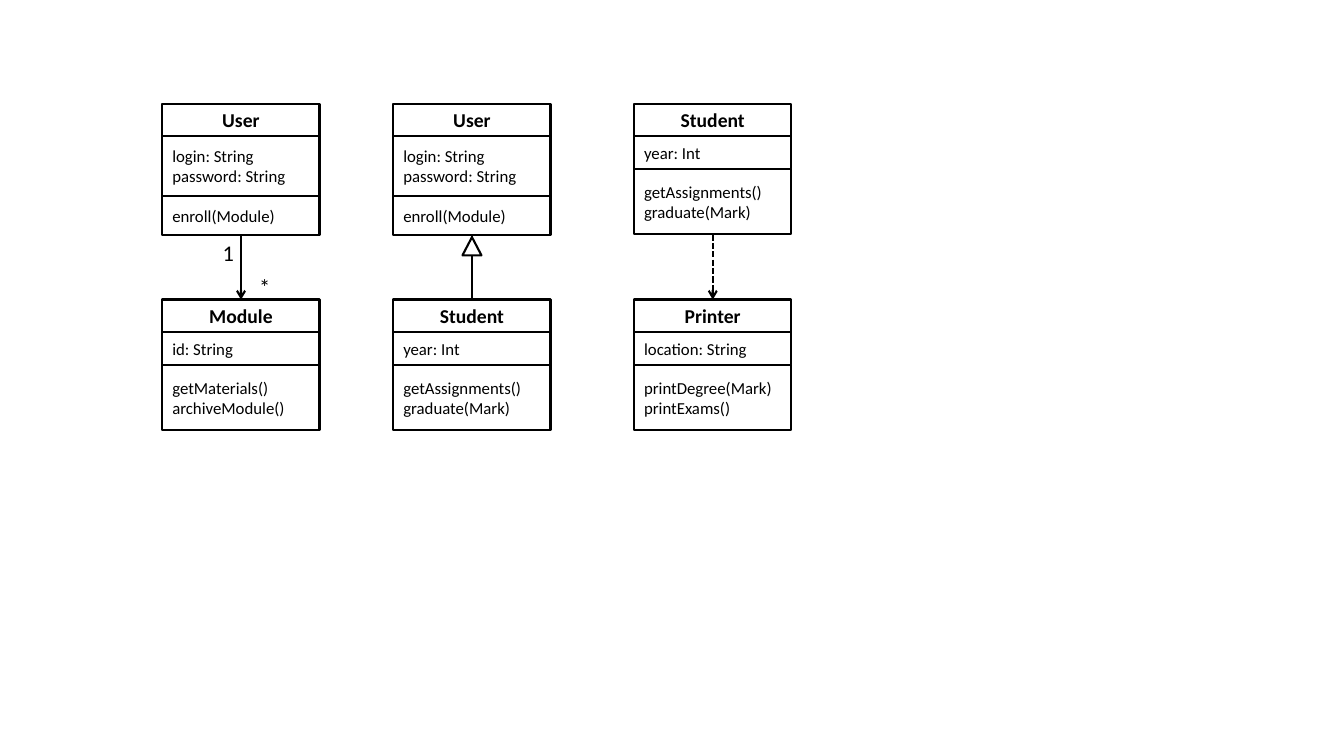
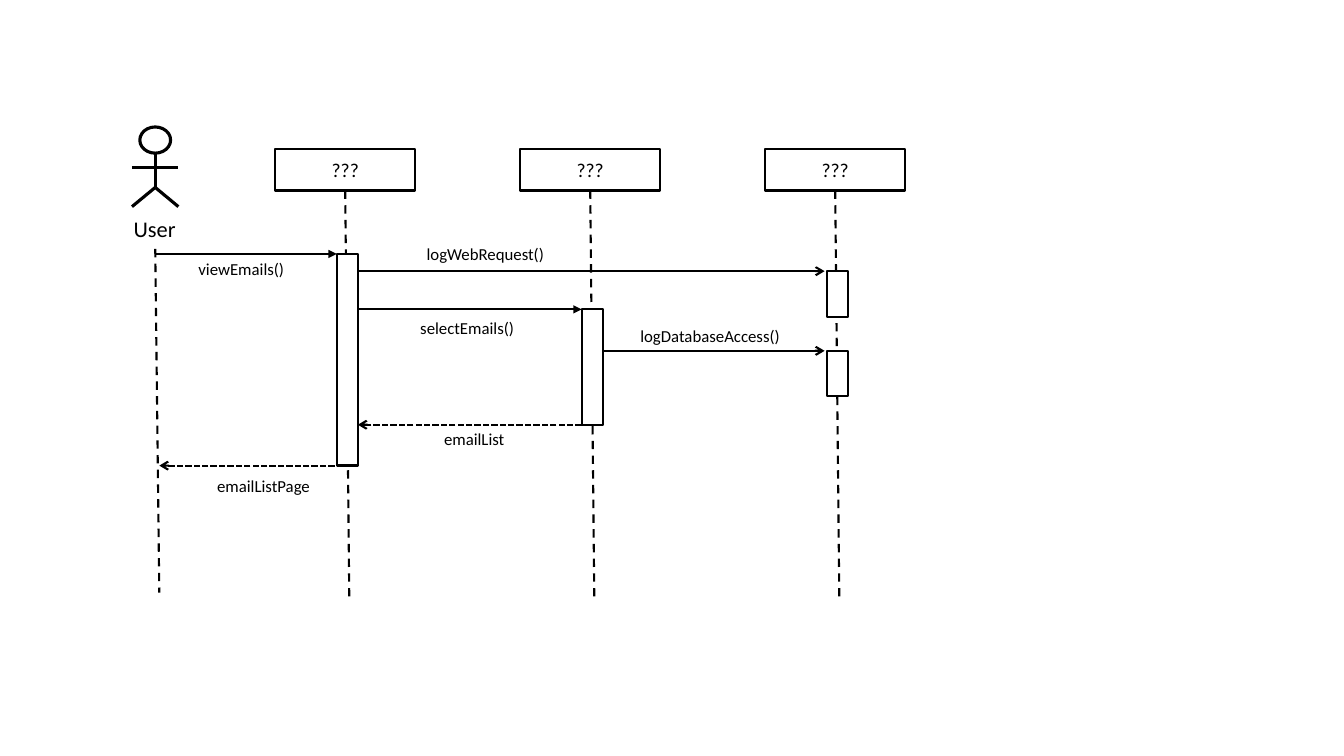
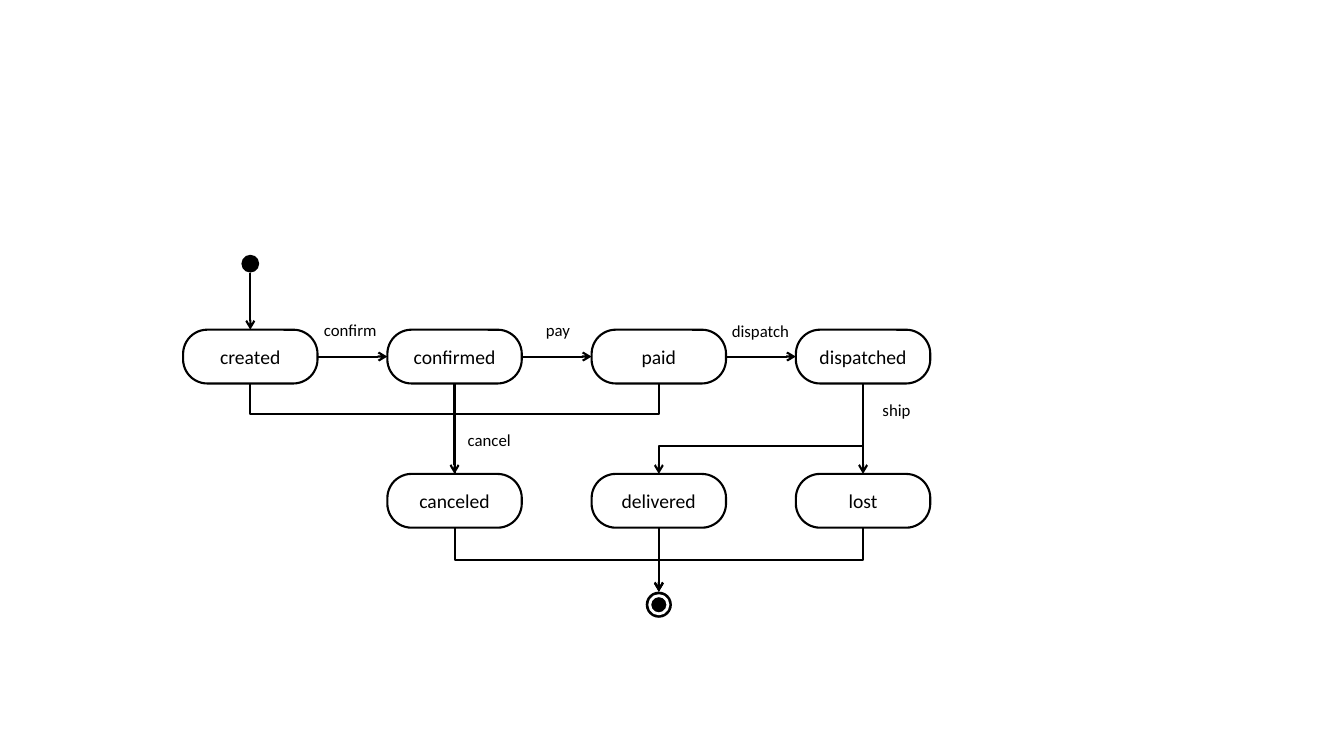
from lxml.etree import SubElement
from pptx import Presentation
from pptx.dml.color import RGBColor
from pptx.enum.dml import MSO_LINE
from pptx.enum.shapes import MSO_CONNECTOR, MSO_SHAPE
from pptx.enum.text import MSO_ANCHOR, MSO_AUTO_SIZE, PP_ALIGN
from pptx.oxml.ns import qn
from pptx.util import Pt

BLACK = RGBColor(0, 0, 0)
WHITE = RGBColor(255, 255, 255)
FONT = "Calibri"
TOP, LEFT, BOTTOM, RIGHT = range(4)

# Class diagram: name, attributes and their height, methods and their height
USER = ("User", ["login: String", "password: String"], 42.7, ["enroll(Module)"], 28)
MODULE = ("Module", ["id: String"], 23.2, ["getMaterials()\narchiveModule()"], 46.8)
STUDENT = ("Student", ["year: Int"], 23.2, ["getAssignments()\ngraduate(Mark)"], 46.8)
PRINTER = ("Printer", ["location: String"], 23.2, ["printDegree(Mark)\nprintExams()"], 46.8)
CLASS_W, NAME_H = 112.3, 23.4
CLASS_TOPS = (74, 214)
# left, upper class, lower class, arrowhead, dash
CLASS_PAIRS = [
    (116, USER, MODULE, "arrow", None),
    (281, USER, STUDENT, None, None),
    (453, STUDENT, PRINTER, "arrow", MSO_LINE.SQUARE_DOT),
]
MULTIPLICITIES = [("1", 152, 167), ("*", 178, 191.5)]

# Sequence diagram
OBJECTS = ["???", "???", "???"]
OBJECT_X, OBJECT_STEP, OBJECT_Y, OBJECT_W, OBJECT_H = 196.6, 175, 106.6, 100, 29.5
LIFE_END, LIFE_DRIFT = 426.2, 2.9
BAR_X, BAR_W = 240.5, 15.1
ACTIVATIONS = [(0, 181.4, 151.2), (1, 221, 82.6), (2, 193.7, 32.5), (2, 250.6, 32.5)]
ACTOR_X = 110.9
ACTOR_LIMBS = [
    ((110.9, 109.4), (110.9, 133.9)),
    ((94.3, 119.5), (127.4, 119.5)),
    ((110.9, 133.9), (94.3, 147.6)),
    ((110.9, 133.9), (127.4, 147.6)),
]
# from x, to x, y, arrowhead, dash, label, label left, label top, label width
MESSAGES = [
    (110.9, 240.5, 181.4, "triangle", None, "viewEmails()", 123.1, 181.4, 98.6),
    (255.6, 589, 193.7, "arrow", None, "logWebRequest()", 297.4, 170.6, 98.6),
    (255.6, 415.5, 221, "triangle", None, "selectEmails()", 272.9, 223.2, 121.7),
    (430.6, 589, 250.6, "arrow", None, "logDatabaseAccess()", 446.4, 229.2, 121.7),
    (415.5, 255.6, 303.4, "arrow", MSO_LINE.SQUARE_DOT, "emailList", 277.9, 302.8, 121.7),
    (239, 113.8, 332.6, "arrow", MSO_LINE.SQUARE_DOT, "emailListPage", 127.4, 336.4, 121.7),
]

# State diagram: state -> column, row
STATES = {
    "created": (0, 0), "confirmed": (1, 0), "paid": (2, 0), "dispatched": (3, 0),
    "canceled": (1, 1), "delivered": (2, 1), "lost": (3, 1),
}
STATE_X, STATE_STEP, STATE_W, STATE_H = 130.8, 145.9, 96, 38.4
STATE_TOPS = (235.5, 338.5)
STRAIGHT_STEPS = [
    ("created", RIGHT, "confirmed", LEFT), ("confirmed", RIGHT, "paid", LEFT),
    ("paid", RIGHT, "dispatched", LEFT), ("confirmed", BOTTOM, "canceled", TOP),
    ("dispatched", BOTTOM, "lost", TOP),
]
# from, to, share of the drop at which the line turns, arrowhead
BENT_STEPS = [
    ("created", "canceled", 0.34, None), ("paid", "canceled", 0.34, None),
    ("dispatched", "delivered", 0.69, "arrow"),
    ("canceled", "end", 0.5, "arrow"), ("lost", "end", 0.5, "arrow"),
]
START_Y, START_D = 182, 12.7
END_Y, END_D, CORE_D = 422.6, 18.7, 13
EVENTS = [("confirm", 200.9, 224.8), ("pay", 349.2, 224.8), ("dispatch", 493.9, 225.2),
          ("cancel", 300.2, 303.3), ("ship", 591.1, 282)]


def write(tf, paragraphs, size, bold=False, align=PP_ALIGN.CENTER):
    tf.word_wrap = True
    for i, text in enumerate(paragraphs):
        p = tf.paragraphs[0] if i == 0 else tf.add_paragraph()
        p.alignment = align
        for j, part in enumerate(text.split("\n")):
            if j:
                p.add_line_break()
            r = p.add_run()
            r.text = part
            r.font.name, r.font.size, r.font.bold = FONT, Pt(size), bold
            r.font.color.rgb = BLACK


def add_box(shapes, x, y, w, h, paragraphs=(), size=14, kind=MSO_SHAPE.RECTANGLE,
            fill=WHITE, line=BLACK, weight=1.5, **style):
    sp = shapes.add_shape(kind, Pt(x), Pt(y), Pt(w), Pt(h))
    sp.shadow.inherit = False
    if fill is None:
        sp.fill.background()
    else:
        sp.fill.solid()
        sp.fill.fore_color.rgb = fill
    if line is None:
        sp.line.fill.background()
    else:
        sp.line.color.rgb, sp.line.width = line, Pt(weight)
    sp.text_frame.vertical_anchor = MSO_ANCHOR.MIDDLE
    write(sp.text_frame, paragraphs, size, **style)
    return sp


def add_label(shapes, text, x, y, w, h=21.8, size=12):
    tf = shapes.add_textbox(Pt(x), Pt(y), Pt(w), Pt(h)).text_frame
    write(tf, [text], size)
    tf.auto_size = MSO_AUTO_SIZE.SHAPE_TO_FIT_TEXT


def add_line(shapes, start, end, arrow=None, dash=None, weight=1.5,
             kind=MSO_CONNECTOR.STRAIGHT):
    cxn = shapes.add_connector(kind, *map(Pt, (*start, *end)))
    cxn.line.color.rgb, cxn.line.width = BLACK, Pt(weight)
    if dash:
        cxn.line.dash_style = dash
    if arrow:
        SubElement(cxn.line._get_or_add_ln(), qn("a:tailEnd"), type=arrow)
    SubElement(cxn._element.spPr, qn("a:effectLst"))
    return cxn


def join(shapes, a, a_side, b, b_side, **style):
    cxn = add_line(shapes, (0, 0), (0, 0), **style)
    cxn.begin_connect(a, a_side)
    cxn.end_connect(b, b_side)


def add_bent(shapes, a, b, turn, arrow):
    """Elbow that leaves the bottom of a and enters the top of b."""
    x1, y1 = a.left.pt + a.width.pt / 2, a.top.pt + a.height.pt
    x2, y2 = b.left.pt + b.width.pt / 2, b.top.pt
    cx, cy, half_w, half_h = (x1 + x2) / 2, (y1 + y2) / 2, (y2 - y1) / 2, abs(x2 - x1) / 2
    flip = -1 if x2 > x1 else 1
    cxn = add_line(shapes, (cx - flip * half_w, cy - half_h), (cx + flip * half_w, cy + half_h),
                   arrow, kind=MSO_CONNECTOR.ELBOW)
    spPr = cxn._element.spPr
    spPr.find(qn("a:xfrm")).set("rot", str((90 if flip == 1 else 270) * 60000))
    geom = spPr.find(qn("a:prstGeom"))
    av = geom.find(qn("a:avLst"))
    if av is None:
        av = SubElement(geom, qn("a:avLst"))
    SubElement(av, qn("a:gd"), name="adj1", fmla=f"val {round(turn * 100000)}")


def add_class(shapes, x, y, name, attributes, attributes_h, methods, methods_h):
    head = add_box(shapes, x, y, CLASS_W, NAME_H, [name], bold=True)
    y += NAME_H
    add_box(shapes, x, y, CLASS_W, attributes_h, attributes, 12, align=PP_ALIGN.LEFT)
    y += attributes_h
    foot = add_box(shapes, x, y, CLASS_W, methods_h, methods, 12, align=PP_ALIGN.LEFT)
    return head, foot


def class_slide(shapes):
    for x, upper, lower, arrow, dash in CLASS_PAIRS:
        _, foot = add_class(shapes, x, CLASS_TOPS[0], *upper)
        head, _ = add_class(shapes, x, CLASS_TOPS[1], *lower)
        join(shapes, foot, BOTTOM, head, TOP, arrow=arrow, dash=dash)
        if arrow is None:  # inheritance triangle
            add_box(shapes, x + CLASS_W / 2 - 6.8, 169.4, 13.6, 13,
                    kind=MSO_SHAPE.ISOSCELES_TRIANGLE)
    for text, x, y in MULTIPLICITIES:
        add_label(shapes, text, x, y, 18.7, 26.6, 16)


def sequence_slide(shapes):
    # Actor
    actor = shapes.add_group_shape().shapes
    add_box(actor, ACTOR_X - 11, 90.7, 22, 18.7, kind=MSO_SHAPE.OVAL, fill=None, weight=2.25)
    for start, end in ACTOR_LIMBS:
        add_line(actor, start, end, weight=2.25)
    add_label(shapes, "User", 61.2, 150.5, 98.6, 26.6, 16)
    add_line(shapes, (ACTOR_X, 177.8), (ACTOR_X + LIFE_DRIFT, 423.4), dash=MSO_LINE.DASH)
    # Objects with lifelines
    for i, text in enumerate(OBJECTS):
        x = OBJECT_X + i * OBJECT_STEP
        box = add_box(shapes, x, OBJECT_Y, OBJECT_W, OBJECT_H, [text])
        mid = x + OBJECT_W / 2
        life = add_line(shapes, (mid, OBJECT_Y + OBJECT_H), (mid + LIFE_DRIFT, LIFE_END),
                        dash=MSO_LINE.DASH)
        life.begin_connect(box, BOTTOM)
    # Activations and messages
    for i, y, h in ACTIVATIONS:
        add_box(shapes, BAR_X + i * OBJECT_STEP, y, BAR_W, h)
    for x1, x2, y, arrow, dash, text, *place in MESSAGES:
        add_line(shapes, (x1, y), (x2, y), arrow, dash)
        add_label(shapes, text, *place)


def state_slide(shapes):
    nodes = {}
    for name, (col, row) in STATES.items():
        sp = add_box(shapes, STATE_X + col * STATE_STEP, STATE_TOPS[row], STATE_W, STATE_H,
                     [name], kind=MSO_SHAPE.ROUNDED_RECTANGLE)
        sp.adjustments[0] = 0.45
        nodes[name] = sp

    # Start and end markers
    def add_dot(col, y, d, line=None):
        x = STATE_X + col * STATE_STEP + (STATE_W - d) / 2
        return add_box(shapes, x, y, d, d, kind=MSO_SHAPE.OVAL, fill=BLACK, line=line, weight=2)

    add_dot(0, START_Y, START_D)
    nodes["end"] = add_dot(2, END_Y, END_D)
    add_dot(2, END_Y + (END_D - CORE_D) / 2, CORE_D, WHITE)
    # Transitions
    mid = STATE_X + STATE_W / 2
    entry = add_line(shapes, (mid, START_Y + START_D), (mid, STATE_TOPS[0]), "arrow")
    entry.end_connect(nodes["created"], TOP)
    for a, a_side, b, b_side in STRAIGHT_STEPS + [("delivered", BOTTOM, "end", TOP)]:
        join(shapes, nodes[a], a_side, nodes[b], b_side, arrow="arrow")
    for a, b, turn, arrow in BENT_STEPS:
        add_bent(shapes, nodes[a], nodes[b], turn, arrow)
    for text, x, y in EVENTS:
        add_label(shapes, text, x, y, 98.6)


def main():
    prs = Presentation()
    prs.slide_width, prs.slide_height = Pt(960), Pt(540)
    for build in (class_slide, sequence_slide, state_slide):
        build(prs.slides.add_slide(prs.slide_layouts[6]).shapes)
    prs.save("out.pptx")


if __name__ == "__main__":
    main()
